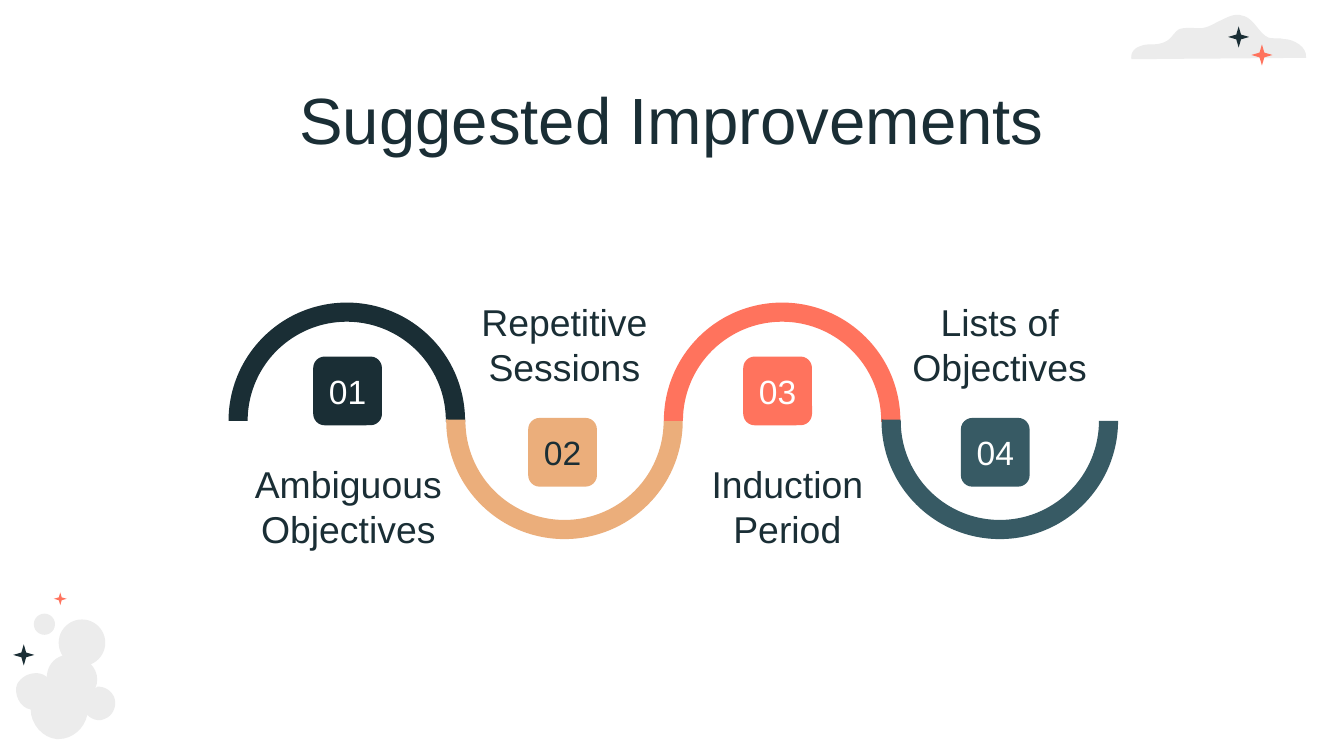
from collections import namedtuple

from pptx import Presentation
from pptx.dml.color import RGBColor
from pptx.enum.shapes import MSO_SHAPE
from pptx.enum.text import MSO_ANCHOR, MSO_AUTO_SIZE, PP_ALIGN
from pptx.util import Cm, Pt

ARC = MSO_SHAPE.BLOCK_ARC
OVAL = MSO_SHAPE.OVAL
ROUNDED = MSO_SHAPE.ROUNDED_RECTANGLE
TOP, MIDDLE, BOTTOM = MSO_ANCHOR.TOP, MSO_ANCHOR.MIDDLE, MSO_ANCHOR.BOTTOM
CENTER = PP_ALIGN.CENTER
NO_AUTOFIT = MSO_AUTO_SIZE.NONE

COLORS = {
    "ink": "1A2E35",
    "sand": "EBAE7B",
    "coral": "FF735D",
    "teal": "375A64",
    "cloud": "ECECEC",
    "white": "FFFFFF",
}
FONT = "Arial"
TITLE_ONLY = 5
CURVE_STEPS = 8

Box = namedtuple("Box", "left top width height")
Step = namedtuple("Step", "number label color number_color badge_x label_x label_width")

STEPS = [
    Step("01", "Ambiguous Objectives", "ink", "white", 1.6, -0.15, 4.83),
    Step("02", "Repetitive Sessions", "sand", "ink", 1.55, -0.05, 4.57),
    Step("03", "Induction Period", "coral", "white", 1.5, -0.08, 4.83),
    Step("04", "Lists of Objectives", "teal", "white", 1.5, -0.18, 4.83),
]

HILL_SIZE = (132, 33)
HILL = [
    (80, 0),
    (76, 0, 72, 2, 68, 4), (63, 6, 58, 10, 52, 10),
    (48, 10, 40, 9, 36, 11), (33, 13, 31, 17, 28, 19),
    (25, 21, 21, 22, 17, 22), (13, 22, 10, 22, 6, 24),
    (3, 25, 0, 29, 1, 33), (1, 33, 131, 32, 131, 32),
    (132, 24, 122, 18, 114, 18), (111, 17, 107, 18, 103, 17),
    (96, 14, 93, 4, 85, 1), (84, 1, 82, 0, 80, 0),
]
PUFF_SIZE = (77, 63)
PUFF = [
    (41, 0),
    (39, 0, 36, 1, 34, 2), (28, 5, 25, 11, 25, 17),
    (23, 15, 20, 14, 17, 14), (11, 14, 6, 17, 3, 22),
    (0, 29, 5, 40, 13, 41), (13, 52, 22, 62, 32, 63),
    (33, 63, 33, 63, 34, 63), (44, 63, 53, 55, 55, 45),
    (57, 47, 60, 49, 64, 49), (66, 49, 68, 48, 70, 47),
    (75, 44, 77, 37, 75, 32), (73, 27, 68, 24, 63, 24),
    (62, 24, 62, 25, 61, 25), (65, 17, 60, 6, 52, 4),
    (49, 1, 45, 0, 41, 0),
]
SPARKLE_SIZE = (16, 16)
SPARKLE = [(8, 0), (9.8, 6.2), (16, 8), (9.8, 9.8),
           (8, 16), (6.2, 9.8), (0, 8), (6.2, 6.2)]


def rgb(name):
    return RGBColor.from_string(COLORS[name])


def paint(shape, color):
    shape.shadow.inherit = False
    shape.fill.solid()
    shape.fill.fore_color.rgb = rgb(color)
    shape.line.fill.background()


def add_shape(page, kind, box, color):
    shape = page.shapes.add_shape(kind, *(Cm(length) for length in box))
    paint(shape, color)
    return shape


def write(shape, text, size, color, anchor, inset):
    frame = shape.text_frame
    frame.word_wrap = True
    frame.auto_size = NO_AUTOFIT
    frame.vertical_anchor = anchor
    frame.margin_left = frame.margin_right = Cm(inset)
    frame.margin_top = frame.margin_bottom = Cm(inset)
    para = frame.paragraphs[0]
    para.alignment = CENTER
    span = para.add_run()
    span.text = text
    span.font.name = FONT
    span.font.size = Pt(size)
    span.font.color.rgb = rgb(color)


def flatten(curves):
    points = list(curves[:1])
    for x1, y1, x2, y2, x3, y3 in curves[1:]:
        x0, y0 = points[-1]
        for step in range(1, CURVE_STEPS + 1):
            t = step / CURVE_STEPS
            s = 1 - t
            weights = (s ** 3, 3 * s * s * t, 3 * s * t * t, t ** 3)
            points.append((
                sum(w * x for w, x in zip(weights, (x0, x1, x2, x3))),
                sum(w * y for w, y in zip(weights, (y0, y1, y2, y3))),
            ))
    return points


def add_outline(page, box, size, points, color):
    placed = [
        (Cm(box.left + x * box.width / size[0]), Cm(box.top + y * box.height / size[1]))
        for x, y in points
    ]
    builder = page.shapes.build_freeform(*placed[0])
    builder.add_line_segments(placed[1:], close=True)
    paint(builder.convert_to_shape(), color)


def add_sparkle(page, left, top, side, color):
    add_outline(page, Box(left, top, side, side), SPARKLE_SIZE, SPARKLE, color)


def add_hill_corner(page, box):
    add_outline(page, box, HILL_SIZE, flatten(HILL), "cloud")
    add_sparkle(page, box.left + 2.29, box.top + 0.56, 0.4, "coral")
    add_sparkle(page, box.left + 1.85, box.top + 0.22, 0.4, "ink")


def add_puff_corner(page, box):
    cloud = Box(box.left, box.top + 1.17, box.width, box.height - 1.17)
    add_outline(page, cloud, PUFF_SIZE, flatten(PUFF), "cloud")
    for left, top, side in ((0.86, 0.51, 0.88), (0.39, 0.4, 0.4)):
        add_shape(page, OVAL, Box(box.left + left, box.top + top, side, side), "cloud")
    add_sparkle(page, box.left, box.top + 0.98, 0.4, "ink")
    add_sparkle(page, box.left + 0.77, box.top, 0.24, "coral")


def add_title(page, box, text):
    title = page.shapes.title
    title.left, title.top, title.width, title.height = (Cm(length) for length in box)
    write(title, text, 35, "ink", TOP, 0.25)


def add_step(page, box, step, upward):
    arc = add_shape(page, ARC, box, step.color)
    for index, value in enumerate((108, 0.393, 0.081)):
        arc.adjustments[index] = value
    arc.rotation = 0 if upward else 180

    label_top = box.top + (3.07 if upward else 0)
    label = page.shapes.add_textbox(
        Cm(box.left + step.label_x), Cm(label_top), Cm(step.label_width), Cm(1.88))
    write(label, step.label, 20, "ink", BOTTOM, 0.25)

    badge_top = box.top + (1.02 if upward else 2.18)
    badge = add_shape(
        page, ROUNDED, Box(box.left + step.badge_x, badge_top, 1.3, 1.3), step.color)
    badge.adjustments[0] = 0.167
    write(badge, step.number, 18, step.number_color, MIDDLE, 0)


def add_wave(page, box, steps):
    side = box.height
    pitch = (box.width - side) / (len(steps) - 1)
    for index, step in enumerate(steps):
        place = Box(box.left + index * pitch, box.top, side, side)
        add_step(page, place, step, upward=index % 2 == 0)


def main():
    deck = Presentation()
    deck.slide_width, deck.slide_height = Cm(25.4), Cm(14.29)
    page = deck.slides.add_slide(deck.slide_layouts[TITLE_ONLY])
    page.background.fill.solid()
    page.background.fill.fore_color.rgb = rgb("white")
    add_hill_corner(page, Box(21.36, 0.28, 3.35, 0.84))
    add_puff_corner(page, Box(0.25, 11.2, 1.96, 2.77))
    add_title(page, Box(2, 1.24, 21.4, 1.6), "Suggested Improvements")
    add_wave(page, Box(4.32, 5.72, 16.81, 4.47), STEPS)
    deck.save("out.pptx")


if __name__ == "__main__":
    main()
